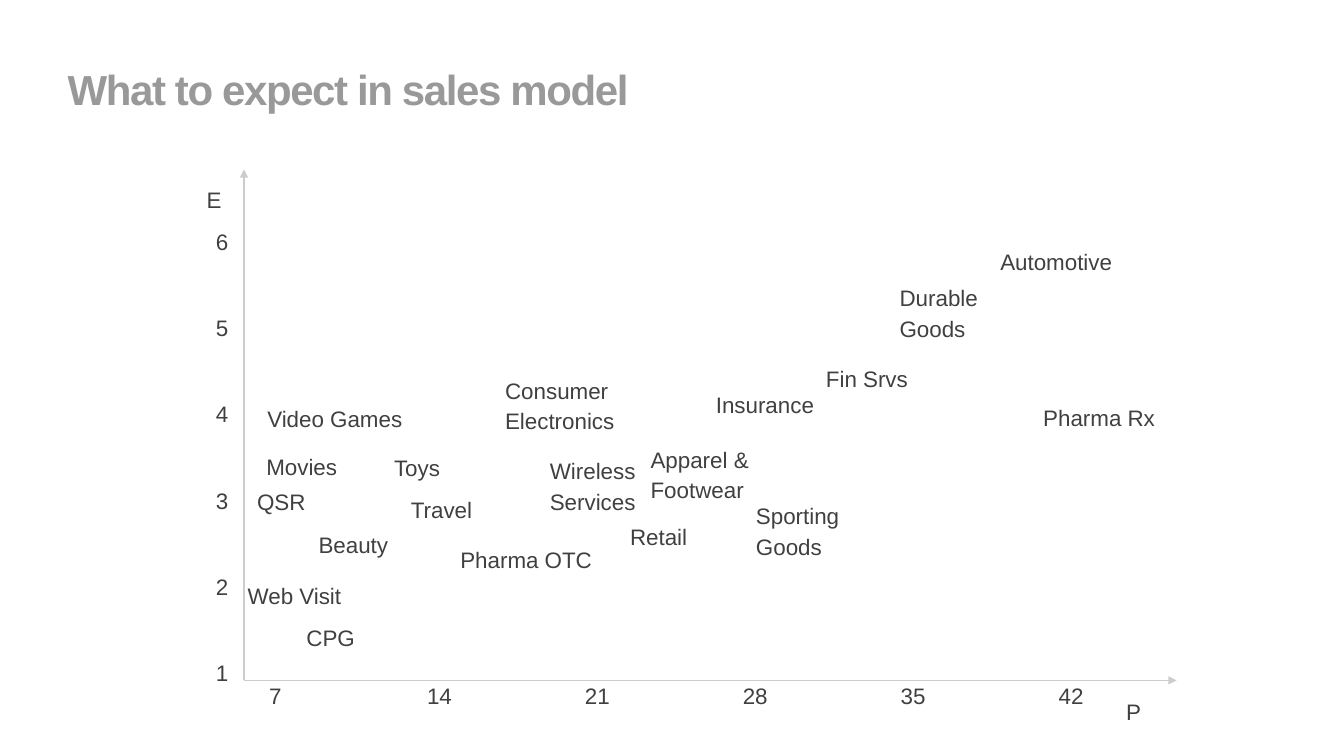
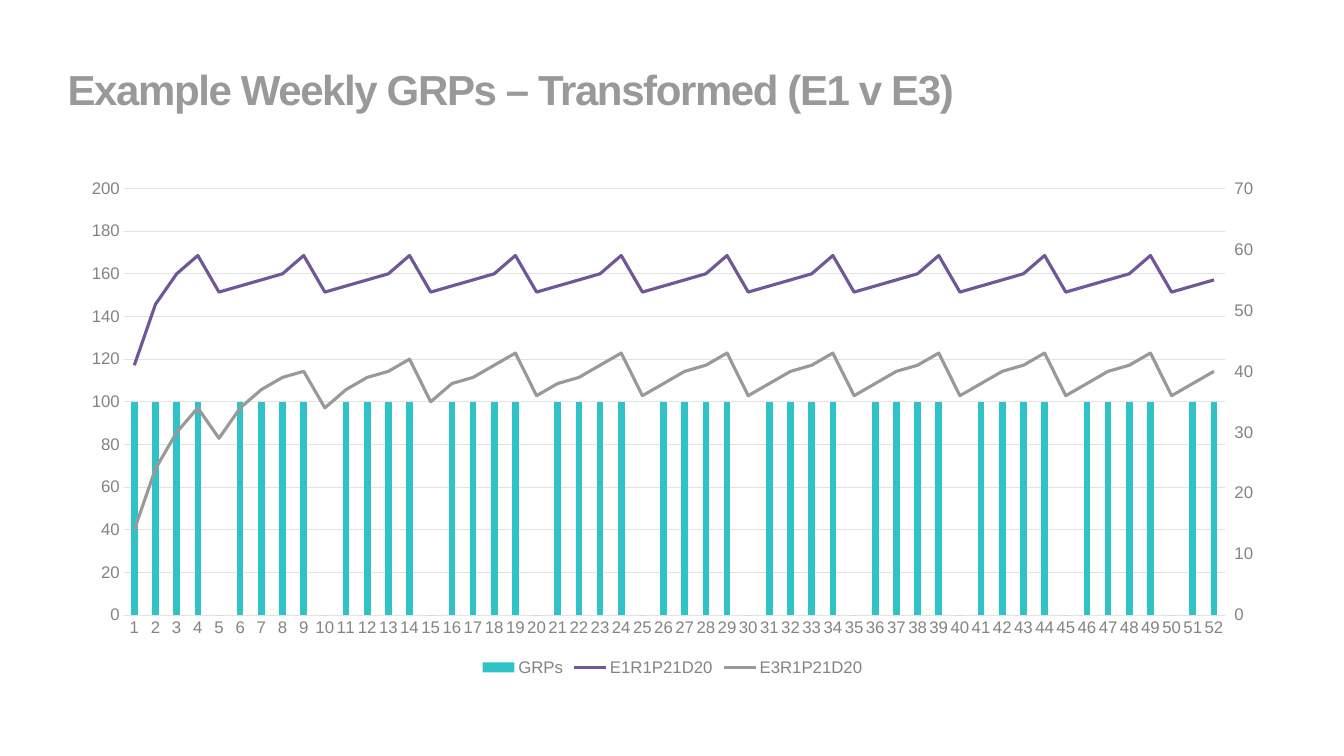
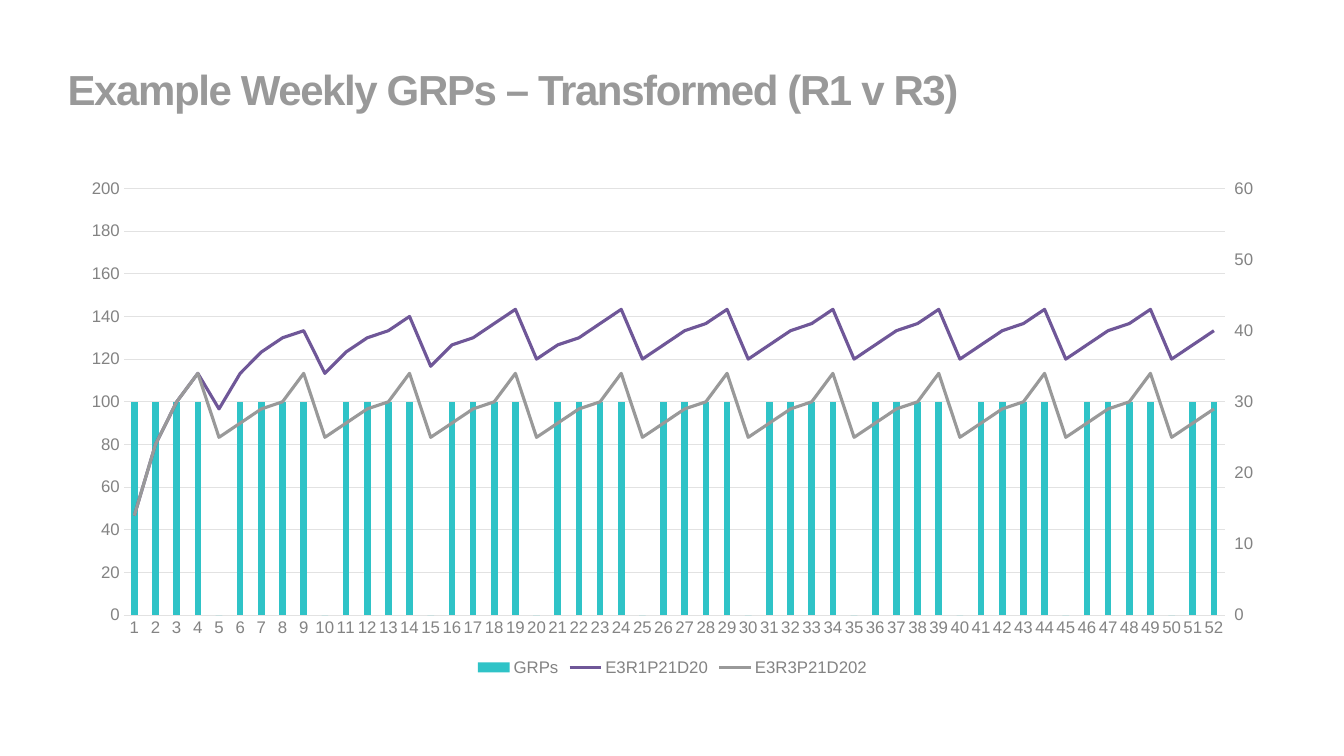
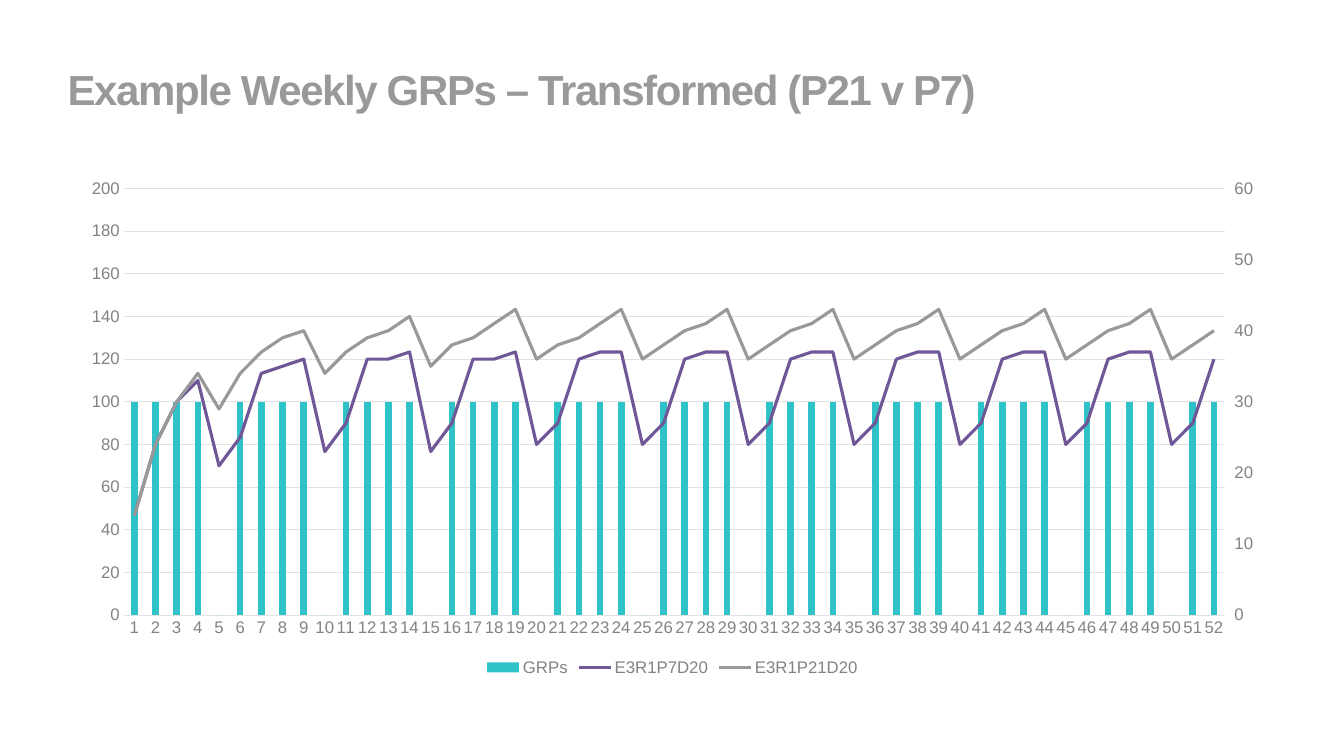
from lxml.etree import SubElement
from pptx import Presentation
from pptx.chart.axis import ValueAxis
from pptx.chart.data import CategoryChartData
from pptx.dml.color import RGBColor
from pptx.enum.chart import XL_CHART_TYPE, XL_LEGEND_POSITION, XL_MARKER_STYLE, XL_TICK_MARK
from pptx.enum.shapes import MSO_CONNECTOR
from pptx.enum.text import MSO_ANCHOR, MSO_AUTO_SIZE, PP_ALIGN
from pptx.oxml import parse_xml
from pptx.oxml.ns import nsdecls, qn
from pptx.util import Inches, Pt

WIDTH, HEIGHT = 13.33, 7.5
FONT = "Arial"
COLORS = {
    "title": "999999",
    "text": "404040",
    "arrow": "CCCCCC",
    "axis_text": "838383",
    "grid": "E2E2E2",
    "bars": "2FC3C7",
    "first_line": "6F5798",
    "second_line": "999999",
}
TITLE_BOX = (0.67, 0.3, 12, 1.25)
CHART_BOX = (0.67, 1.68, 12, 5.07)
MAP_BOX = (2.42, 1.68, 9.25, 5.07)

WEEKS = 52
GRPS = ([100] * 4 + [0]) * 11
E1_R1_P21 = [41, 51, 56, 59] + [53, 54, 55, 56, 59] * 10
E3_R1_P21 = [
    14, 24, 30, 34,
    29, 34, 37, 39, 40,
    34, 37, 39, 40, 42,
    35, 38, 39, 41, 43,
    36, 38, 39, 41, 43,
] + [36, 38, 40, 41, 43] * 6
E3_R3_P21 = [14, 24, 30, 34] + [25, 27, 29, 30, 34] * 10
E3_R1_P7 = [14, 24, 30, 33, 21, 25, 34, 35, 36] + [23, 27, 36, 36, 37] * 2 + [24, 27, 36, 37, 37] * 7

CHART_SLIDES = [
    ("E1 v E3", 70, {"E1R1P21D20": E1_R1_P21, "E3R1P21D20": E3_R1_P21}),
    ("R1 v R3", 60, {"E3R1P21D20": E3_R1_P21, "E3R3P21D202": E3_R3_P21}),
    ("P21 v P7", 60, {"E3R1P7D20": E3_R1_P7, "E3R1P21D20": E3_R1_P21}),
]

CATEGORY_LABELS = [
    ("Automotive", 81.1, 14.6),
    ("Travel", 17.9, 63.1),
    ("CPG", 6.7, 88.2),
    ("Movies", 2.4, 54.8),
    ("Pharma Rx", 85.7, 45.2),
    ("Retail", 41.4, 68.4),
    ("Toys", 16.1, 55),
    ("Fin Srvs", 62.4, 37.5),
    ("QSR", 1.4, 61.7),
    ("Web Visit", 0.4, 80.1),
    ("Insurance", 50.6, 42.6),
    ("Beauty", 8, 70),
    ("Pharma OTC", 23.2, 73),
    ("Video Games", 2.5, 45.4),
]
WRAPPED_LABELS = [
    ("Durable Goods", 70.3, 21.7, 1),
    ("Sporting Goods", 54.9, 64.3, 1),
    ("Apparel & Footwear", 43.6, 53.3, 1),
    ("Consumer Electronics", 28, 39.8, 1.35),
    ("Wireless Services", 32.8, 55.6, 1),
]

SECOND_AXIS_XML = (
    "<c:valAx %s><c:axId val='51'/><c:scaling><c:orientation val='minMax'/></c:scaling>"
    "<c:delete val='0'/><c:axPos val='r'/><c:numFmt formatCode='General' sourceLinked='0'/>"
    "<c:majorTickMark val='out'/><c:minorTickMark val='none'/><c:tickLblPos val='nextTo'/>"
    "<c:crossAx val='50'/><c:crosses val='max'/></c:valAx>" % nsdecls("c")
)
HIDDEN_AXIS_XML = (
    "<c:catAx %s><c:axId val='50'/><c:scaling><c:orientation val='minMax'/></c:scaling>"
    "<c:delete val='1'/><c:axPos val='b'/><c:majorTickMark val='none'/>"
    "<c:minorTickMark val='none'/><c:tickLblPos val='nextTo'/>"
    "<c:crossAx val='51'/><c:crosses val='autoZero'/></c:catAx>" % nsdecls("c")
)
LINE_PLOT_XML = (
    "<c:lineChart %s><c:grouping val='standard'/><c:varyColors val='0'/>"
    "<c:marker val='1'/><c:axId val='50'/><c:axId val='51'/></c:lineChart>" % nsdecls("c")
)


def inches(*lengths):
    """Turn plain numbers into lengths."""
    return [Inches(length) for length in lengths]


def set_font(font, size, color, bold=None):
    """Give a font the shared typeface with a size and a colour."""
    font.name = FONT
    font.size = Pt(size)
    font.bold = bold
    font.color.rgb = RGBColor.from_string(COLORS[color])


def set_line(line, color, width):
    """Give a line a solid colour and a width."""
    line.color.rgb = RGBColor.from_string(COLORS[color])
    line.width = Pt(width)


def clear_margins(frame):
    """Remove the insets of a text frame and keep its size fixed."""
    frame.margin_left = frame.margin_top = frame.margin_right = frame.margin_bottom = 0
    frame.auto_size = MSO_AUTO_SIZE.NONE


def add_titled_slide(presentation, text):
    """Add a title-only slide with the shared title style."""
    slide = presentation.slides.add_slide(presentation.slide_layouts[5])
    title = slide.shapes.title
    title.left, title.top, title.width, title.height = inches(*TITLE_BOX)
    frame = title.text_frame
    clear_margins(frame)
    frame.vertical_anchor = MSO_ANCHOR.MIDDLE
    paragraph = frame.paragraphs[0]
    paragraph.alignment = PP_ALIGN.LEFT
    paragraph.line_spacing = 0.8
    run = paragraph.add_run()
    run.text = text
    set_font(run.font, 30, "title", True)
    run._r.get_or_add_rPr().set("spc", "-100")
    return slide


def add_label(slide, box, text, across, down, width=1, wrap=False):
    """Place a label at percentages of the box's width and height."""
    left, top, box_width, box_height = box
    shape = slide.shapes.add_textbox(
        *inches(left + box_width * across / 100, top + box_height * down / 100, width, 1 if down < 100 else 0.34)
    )
    frame = shape.text_frame
    clear_margins(frame)
    frame.word_wrap = wrap
    paragraph = frame.paragraphs[0]
    paragraph.line_spacing = Pt(22)
    paragraph.space_before = Pt(11)
    run = paragraph.add_run()
    run.text = text
    set_font(run.font, 16, "text")


def add_arrow(slide, start, end):
    """Draw an axis arrow from start to end."""
    arrow = slide.shapes.add_connector(MSO_CONNECTOR.STRAIGHT, *inches(*start, *end))
    set_line(arrow.line, "arrow", 1)
    properties = arrow._element.spPr
    SubElement(properties.find(qn("a:ln")), qn("a:tailEnd"), type="triangle")
    SubElement(properties, qn("a:effectLst"))


def add_category_map(slide, box):
    """Draw the two axes with their ticks and the category labels."""
    left, top, width, height = box
    origin = (left, top + height)
    add_arrow(slide, origin, (left, top))
    add_arrow(slide, origin, (left + width, top + height))
    add_label(slide, box, "E", -4, 2.6)
    add_label(slide, box, "P", 94.6, 102.8)
    for step in range(6):
        add_label(slide, box, str(6 - step), -3, 10.8 + 16.84 * step)
        add_label(slide, box, str(7 * (step + 1)), 2.7 + 16.93 * step, 99.6)
    for text, across, down in CATEGORY_LABELS:
        add_label(slide, box, text, across, down)
    for text, across, down, label_width in WRAPPED_LABELS:
        add_label(slide, box, text, across, down, label_width, True)


def style_value_axis(axis, maximum, step):
    """Format a value axis without a line."""
    axis.minimum_scale = 0
    axis.maximum_scale = maximum
    axis.major_unit = step
    axis.format.line.fill.background()
    set_font(axis.tick_labels.font, 12, "axis_text")


def move_to_second_axis(chart):
    """Turn all series but the first into lines on a right axis, and return that axis."""
    plot_area = chart._chartSpace.chart.plotArea
    bar_plot = plot_area.find(qn("c:barChart"))
    line_plot = parse_xml(LINE_PLOT_XML)
    marker = line_plot.find(qn("c:marker"))
    for series in bar_plot.findall(qn("c:ser"))[1:]:
        for bar_setting in series.findall(qn("c:invertIfNegative")):
            series.remove(bar_setting)
        marker.addprevious(series)
    bar_plot.addnext(line_plot)
    right_axis = parse_xml(SECOND_AXIS_XML)
    plot_area.find(qn("c:valAx")).addnext(right_axis)
    right_axis.addnext(parse_xml(HIDDEN_AXIS_XML))
    return ValueAxis(right_axis)


def add_weekly_chart(slide, box, right_maximum, lines):
    """Add weekly GRP columns with two lines on a second axis."""
    data = CategoryChartData()
    data.categories = [str(week) for week in range(1, WEEKS + 1)]
    for name, values in {"GRPs": GRPS, **lines}.items():
        data.add_series(name, values[:WEEKS])
    chart = slide.shapes.add_chart(XL_CHART_TYPE.COLUMN_CLUSTERED, *inches(*box), data).chart
    chart.has_title = False
    set_font(chart.font, 10, "text")
    chart.has_legend = True
    chart.legend.position = XL_LEGEND_POSITION.BOTTOM
    chart.legend.include_in_layout = False
    set_font(chart.legend.font, 12, "axis_text")

    weeks = chart.category_axis
    set_line(weeks.format.line, "grid", 0.75)
    set_font(weeks.tick_labels.font, 12, "axis_text")
    weeks._element.find(qn("c:txPr")).find(qn("a:bodyPr")).set("rot", "-60000000")
    left_axis = chart.value_axis
    for axis in (weeks, left_axis):
        axis.major_tick_mark = axis.minor_tick_mark = XL_TICK_MARK.NONE
    left_axis.has_major_gridlines = True
    set_line(left_axis.major_gridlines.format.line, "grid", 0.75)
    style_value_axis(left_axis, 200, 20)
    style_value_axis(move_to_second_axis(chart), right_maximum, 10)

    columns, curves = chart.plots
    columns.gap_width = 219
    columns.overlap = -27
    columns.vary_by_categories = False
    fill = columns.series[0].format.fill
    fill.solid()
    fill.fore_color.rgb = RGBColor.from_string(COLORS["bars"])
    for series, color in zip(curves.series, ("first_line", "second_line")):
        set_line(series.format.line, color, 2.25)
        series.marker.style = XL_MARKER_STYLE.NONE
        series.smooth = False


def main():
    """Build and save the four slides."""
    presentation = Presentation()
    presentation.slide_width, presentation.slide_height = inches(WIDTH, HEIGHT)
    add_category_map(add_titled_slide(presentation, "What to expect in sales model"), MAP_BOX)
    for comparison, right_maximum, lines in CHART_SLIDES:
        slide = add_titled_slide(presentation, f"Example Weekly GRPs – Transformed ({comparison})")
        add_weekly_chart(slide, CHART_BOX, right_maximum, lines)
    presentation.save("out.pptx")


if __name__ == "__main__":
    main()
